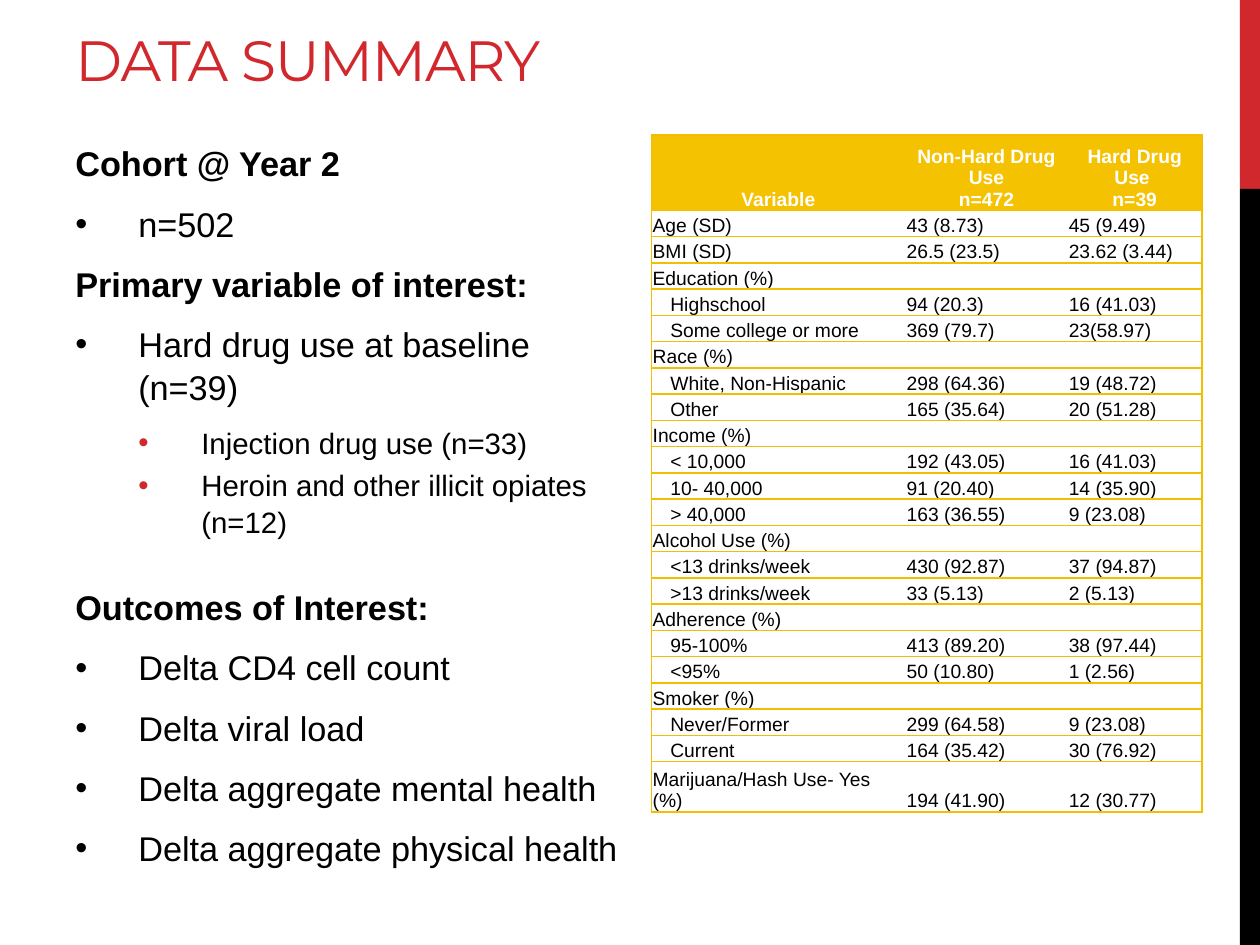
from lxml.etree import SubElement
from pptx import Presentation
from pptx.dml.color import RGBColor
from pptx.enum.shapes import MSO_SHAPE
from pptx.enum.text import MSO_ANCHOR, PP_ALIGN
from pptx.oxml.ns import qn
from pptx.util import Emu, Inches, Pt

HUES = {"red": "D1282E", "black": "000000", "white": "FFFFFF",
        "head": "F5C201", "rule": "F1BE00"}
COLS, ROWS = 100, 75
WIDE, HIGH = Inches(10), Inches(7.5)

NOTES = [
    ("head", "Cohort @ Year 2"),
    ("item", "n=502"),
    ("head", "Primary variable of interest:"),
    ("item", "Hard drug use at baseline (n=39)"),
    ("sub", "Injection drug use (n=33)"),
    ("sub", "Heroin and other illicit opiates (n=12)"),
    ("head", "Outcomes of Interest:"),
    ("item", "Delta CD4 cell count"),
    ("item", "Delta viral load"),
    ("item", "Delta aggregate mental health"),
    ("item", "Delta aggregate physical health"),
]
HEADS = ["Variable", "Non-Hard Drug Use\vn=472", "Hard Drug Use \vn=39"]
GROUPS = [
    ("Age (SD)", "43 (8.73)", "45 (9.49)", []),
    ("BMI (SD)", "26.5 (23.5)", "23.62 (3.44)", []),
    ("Education (%)", "", "", [
        ("Highschool", "94 (20.3)", "16 (41.03)"),
        ("Some college or more", "369 (79.7)", "23(58.97)")]),
    ("Race (%)", "", "", [
        ("White, Non-Hispanic", "298 (64.36)", "19 (48.72)"),
        ("Other", "165 (35.64)", "20 (51.28)")]),
    ("Income (%)", "", "", [
        ("< 10,000", "192 (43.05)", "16 (41.03)"),
        ("10- 40,000", "91 (20.40)", "14 (35.90)"),
        ("> 40,000", "163 (36.55)", "9 (23.08)")]),
    ("Alcohol Use (%)", "", "", [
        ("<13 drinks/week", "430 (92.87)", "37 (94.87)"),
        (">13 drinks/week", "33 (5.13)", "2 (5.13)")]),
    ("Adherence (%)", "", "", [
        ("95-100%", "413 (89.20)", "38 (97.44)"),
        ("<95%", "50 (10.80)", "1 (2.56)")]),
    ("Smoker (%)", "", "", [
        ("Never/Former", "299 (64.58)", "9 (23.08)"),
        ("Current", "164 (35.42)", "30 (76.92)")]),
    ("Marijuana/Hash Use- Yes (%)", "194 (41.90)", "12 (30.77)", []),
]


def grid(col, row, wide, high):
    return (Emu(int(WIDE * col / COLS)), Emu(int(HIGH * row / ROWS)),
            Emu(int(WIDE * wide / COLS)), Emu(int(HIGH * high / ROWS)))


def style(para, face, size, hue, bold=False):
    font = para.font
    font.name, font.size, font.bold = face, Pt(size), bold
    font.color.rgb = RGBColor.from_string(HUES[hue])


def add_side(slide, box):
    left, top, wide, high = box
    cut = high // 5
    for hue, start, tall in (("red", top, cut), ("black", top + cut, high - cut)):
        bar = slide.shapes.add_shape(MSO_SHAPE.RECTANGLE, left, start, wide, tall)
        bar.shadow.inherit = False
        bar.fill.solid()
        bar.fill.fore_color.rgb = RGBColor.from_string(HUES[hue])
        bar.line.fill.background()


def add_title(slide, box):
    frame = slide.shapes.add_textbox(*box).text_frame
    frame.word_wrap = True
    frame.vertical_anchor = MSO_ANCHOR.BOTTOM
    para = frame.paragraphs[0]
    run = para.add_run()
    run.text = "DATA SUMMARY"
    run.font._element.set("spc", "-60")
    style(para, "Montserrat", 32.4, "red")


def add_bullet(para, sub):
    props = para._p.get_or_add_pPr()
    props.set("marL", str(Inches(1 if sub else 0.5)))
    props.set("indent", str(-Inches(0.5)))
    if sub:
        tint = SubElement(props, qn("a:buClr"))
        SubElement(tint, qn("a:srgbClr"), val=HUES["red"])
    SubElement(props, qn("a:buFont"), typeface="Arial")
    SubElement(props, qn("a:buChar"), char="•")


def add_notes(slide, box):
    frame = slide.shapes.add_textbox(*box).text_frame
    frame.word_wrap = True
    last = None
    for kind, text in NOTES:
        para = frame.paragraphs[0] if last is None else frame.add_paragraph()
        para.text = text
        sub = kind == "sub"
        size = 16.8 if sub else 19.6
        para.level = int(sub)
        para.line_spacing = 1.04
        gap = 26 if last == "sub" and not sub else size / 5
        para.space_before = Pt(gap if last else 0)
        para.space_after = Pt(0 if sub else 6)
        if kind != "head":
            add_bullet(para, sub)
        style(para, "Arial", size, "black", kind == "head")
        last = kind


def add_rules(cell, sides):
    props = cell._tc.get_or_add_tcPr()
    for spot, side in enumerate("LRTB"):
        line = props.makeelement(qn(f"a:ln{side}"), {"w": str(Pt(1))})
        if side in sides:
            fill = SubElement(line, qn("a:solidFill"))
            SubElement(fill, qn("a:srgbClr"), val=HUES["rule"])
        else:
            SubElement(line, qn("a:noFill"))
        props.insert(spot, line)


def fill_cell(cell, text, head, inset):
    cell.text = text
    cell.vertical_anchor = MSO_ANCHOR.BOTTOM
    cell.margin_left = Inches(inset)
    cell.margin_top = cell.margin_right = Inches(0.01)
    cell.margin_bottom = 0
    para = cell.text_frame.paragraphs[0]
    style(para, "Arial", 11, "white" if head else "black", head)
    if not text:
        para._p.get_or_add_endParaRPr().set("sz", "1100")
    if head:
        para.alignment = PP_ALIGN.CENTER
        cell.fill.solid()
        cell.fill.fore_color.rgb = RGBColor.from_string(HUES["head"])
    else:
        cell.fill.background()


def add_stats(slide, box):
    lines = [(HEADS, 0.01)]
    for *main, parts in GROUPS:
        lines.append((main, 0.01))
        lines += [(part, 0.15) for part in parts]
    wide, high = box[2:]
    table = slide.shapes.add_table(len(lines), len(HEADS), *box).table
    table.first_row = True
    table.horz_banding = False
    for col, share in zip(table.columns, (2.02, 1.29, 1.07)):
        col.width = int(wide * share / 4.38)
    first, end = Inches(0.6), Inches(0.4)
    step = (high - first - end) // (len(lines) - 2)
    talls = [first] + [step] * (len(lines) - 2) + [end]
    for i, (line, inset) in enumerate(lines):
        table.rows[i].height = talls[i]
        for j, text in enumerate(line):
            cell = table.cell(i, j)
            fill_cell(cell, text, i == 0, 0.01 if j else inset)
            add_rules(cell, ("LTB", "TB", "RTB")[j])


def main():
    deck = Presentation()
    deck.slide_width, deck.slide_height = WIDE, HIGH
    slide = deck.slides.add_slide(deck.slide_layouts[6])
    add_side(slide, grid(98.4, 0, 1.6, 75))
    add_title(slide, grid(5, 1.7, 63.3, 6.2))
    add_notes(slide, grid(5, 10.7, 46.7, 59.2))
    add_stats(slide, grid(51.7, 10.7, 43.7, 53.8))
    deck.save("out.pptx")


if __name__ == "__main__":
    main()
